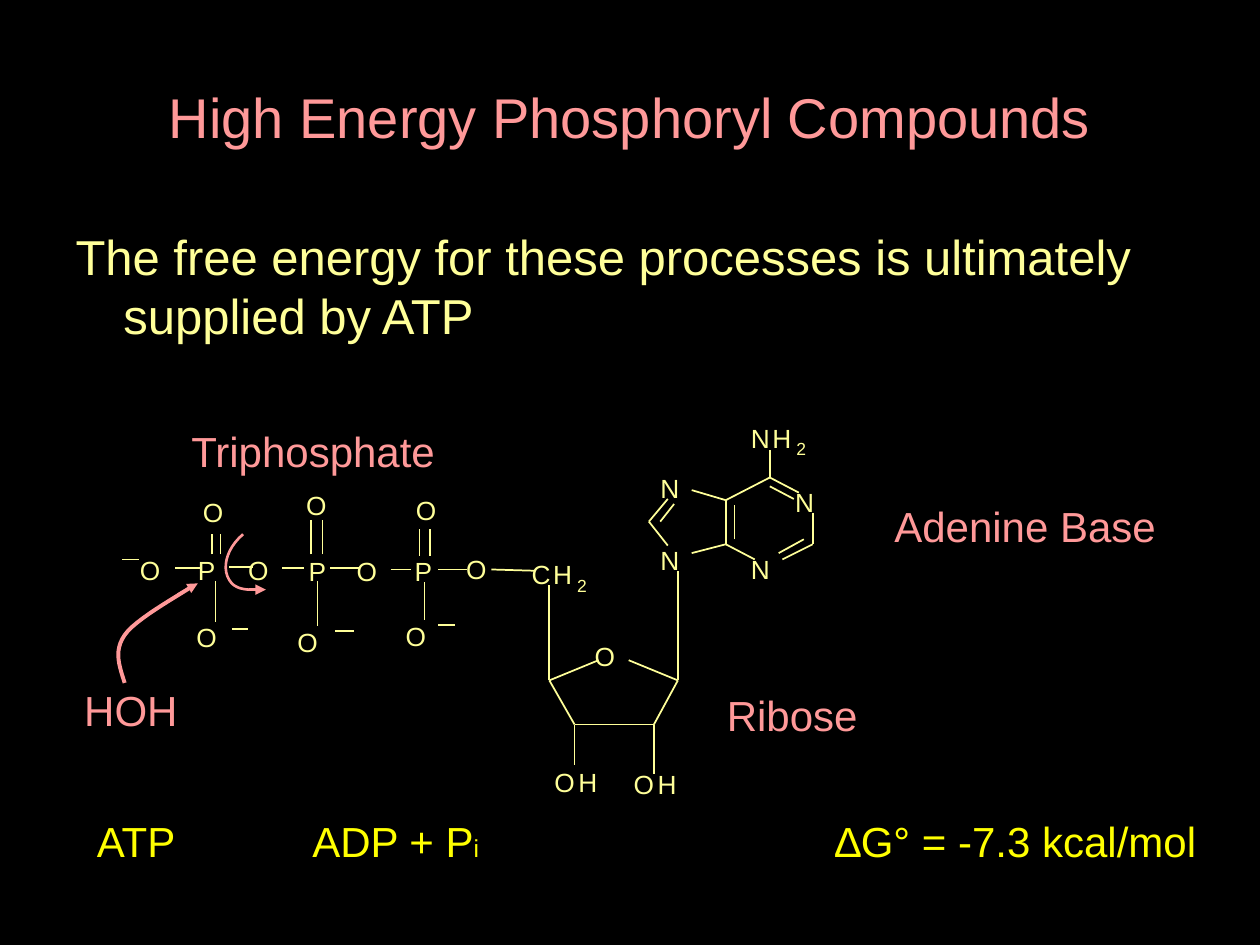
from lxml import etree
from pptx import Presentation
from pptx.dml.color import RGBColor
from pptx.enum import shapes, text
from pptx.oxml import ns
from pptx.util import Inches, Pt

COLORS = {"back": "000000", "pink": "FF9999", "cream": "FFFF99", "yellow": "FFFF00"}
FONT = "Arial"
ATOM_SIZE, INDEX_SIZE = 15, 10
ATOM_WIDTHS = {"O": 0.16, "P": 0.14, "N": 0.15, "C": 0.15, "H": 0.15, "2": 0.08}

# Offsets in inches from the phosphorus letter: atoms (letter, x, y), bonds (x1, y1, x2, y2)
PHOSPHATES = [
    (0.67, 1.07,
     [("P", 0, 0), ("O", 0.4, 0), ("O", -0.01, 0.53), ("O", 0.04, -0.46)],
     [(0.25, 0.1, 0.44, 0.1), (0.14, 0.21, 0.14, 0.54), (0.18, 0, 0.18, -0.16),
      (0.11, 0, 0.11, -0.16), (-0.18, 0.11, 0.03, 0.11), (0.27, 0.59, 0.4, 0.59)]),
    (1.55, 1.08,
     [("P", 0, 0), ("O", 0.38, 0), ("O", -0.09, 0.56), ("O", -0.02, -0.53)],
     [(0.17, 0.1, 0.41, 0.1), (0.07, 0.2, 0.07, 0.56), (0.11, -0.01, 0.11, -0.28),
      (0.02, -0.01, 0.02, -0.28), (-0.21, 0.1, -0.04, 0.1), (0.21, 0.6, 0.36, 0.6)]),
    (2.39, 1.08,
     [("P", 0, 0), ("O", 0.41, -0.02), ("O", -0.07, 0.51), ("O", 0.01, -0.49)],
     [(0.19, 0.11, 0.42, 0.11), (0.08, 0.21, 0.08, 0.51), (0.12, 0, 0.12, -0.21),
      (0.04, 0, 0.04, -0.21), (-0.19, 0.11, -0.03, 0.11), (0.19, 0.55, 0.32, 0.55)]),
]
CHAIN_ENDS = ([("O", 0.21, 1.07)], [(0.07, 1.11, 0.2, 1.11), (3, 1.19, 3.35, 1.2)])
ADENINE = (
    [("N", 0.24, 0.75), ("N", 0.24, 1.32), ("N", 0.96, 1.39), ("N", 1.31, 0.86),
     ("N", 0.96, 0.35), ("H", 1.13, 0.35), ("2", 1.32, 0.48)],
    [(1.34, 0.91, 1.11, 0.79), (1.3, 0.96, 1.11, 0.86), (1.45, 1.07, 1.45, 1.32),
     (1.45, 1.32, 1.21, 1.44), (1.38, 1.28, 1.18, 1.39), (0.99, 1.44, 0.76, 1.32),
     (0.76, 1.32, 0.76, 0.97), (0.83, 1.28, 0.83, 1.01), (0.76, 0.97, 1.11, 0.79),
     (0.76, 0.97, 0.49, 0.89), (0.3, 0.96, 0.15, 1.14), (0.35, 1, 0.24, 1.14),
     (0.76, 1.32, 0.49, 1.39), (0.3, 1.33, 0.15, 1.14), (1.11, 0.79, 1.11, 0.57)])
RIBOSE = (
    [("O", 0.72, 1.08), ("C", 0.22, 0.43), ("H", 0.39, 0.43), ("2", 0.58, 0.56),
     ("O", 0.4, 2.08), ("H", 0.59, 2.08), ("O", 1.03, 2.1), ("H", 1.22, 2.1)],
    [(0.56, 1.75, 1.19, 1.75), (1.19, 1.75, 1.38, 1.4), (1.38, 1.4, 0.99, 1.24),
     (0.75, 1.24, 0.36, 1.4), (0.36, 1.4, 0.56, 1.75), (0.36, 1.4, 0.36, 0.64),
     (0.56, 1.75, 0.56, 2.07), (1.19, 1.75, 1.19, 2.14), (1.38, 1.4, 1.38, 0.53)])


def rgb(name):
    return RGBColor.from_string(COLORS[name])


def set_all(target, values):
    for name, value in values.items():
        setattr(target, name, value)


def add_span(para, words, size, color):
    span = para.add_run()
    span.text = words
    set_all(span.font, {"size": Pt(size), "name": FONT})
    span.font.color.rgb = rgb(color)


def add_text(owner, words, left, top, width, height, size, color, inset=(0, 0), wrap=False):
    box = owner.shapes.add_textbox(*map(Inches, (left, top, width, height)))
    across, down = map(Inches, inset)
    set_all(box.text_frame, {"margin_left": across, "margin_right": across, "margin_top": down,
                             "margin_bottom": down, "word_wrap": wrap})
    para = box.text_frame.paragraphs[0]
    add_span(para, words, size, color)
    return para


def add_line(owner, ends, color="cream", weight=1, arrow=False):
    line = owner.shapes.add_connector(shapes.MSO_CONNECTOR.STRAIGHT, *map(Inches, ends))
    line.line.color.rgb = rgb(color)
    line.line.width = Pt(weight)
    props = line._element.spPr
    if arrow:
        etree.SubElement(props.find(ns.qn("a:ln")), ns.qn("a:tailEnd"), type="triangle")
    etree.SubElement(props, ns.qn("a:effectLst"))


def add_curve(owner, points, weight, steps=12):
    """Draw joined cubic Bézier segments; neighbours share an end point."""
    trace = [points[0]]
    for first in range(0, len(points) - 1, 3):
        segment = points[first:first + 4]
        for step in range(1, steps + 1):
            t = step / steps
            weights = ((1 - t) ** 3, 3 * t * (1 - t) ** 2, 3 * t * t * (1 - t), t ** 3)
            trace.append(tuple(sum(w * p[axis] for w, p in zip(weights, segment))
                               for axis in (0, 1)))
    vertices = [(Inches(x), Inches(y)) for x, y in trace]
    builder = owner.shapes.build_freeform(*vertices[0])
    builder.add_line_segments(vertices[1:], close=False)
    curve = builder.convert_to_shape()
    curve.shadow.inherit = False
    curve.fill.background()
    curve.line.color.rgb = rgb("pink")
    curve.line.width = Pt(weight)


def draw_structure(owner, left, top, atoms, bonds):
    for letter, x, y in atoms:
        size, height = (INDEX_SIZE, 0.17) if letter == "2" else (ATOM_SIZE, 0.25)
        add_text(owner, letter, left + x, top + y, ATOM_WIDTHS[letter], height, size, "cream")
    for x1, y1, x2, y2 in bonds:
        add_line(owner, (left + x1, top + y1, left + x2, top + y2))


def draw_triphosphate(owner, left, top):
    for x, y, atoms, bonds in PHOSPHATES:
        draw_structure(owner, left + x, top + y, atoms, bonds)
    draw_structure(owner, left, top, *CHAIN_ENDS)


def draw_attack(owner, left, top):
    """Curved arrows for water attacking the last phosphate and the bond leaving."""
    def shift(points):
        return [(left + x, top + y) for x, y in points]

    add_curve(owner, shift([(0.09, 1.22), (0.05, 1.09), (0, 0.97), (0.09, 0.84),
                            (0.17, 0.72), (0.51, 0.53), (0.6, 0.47)]), 2.25)
    add_curve(owner, shift([(1.03, 0.04), (0.89, 0.16), (0.85, 0.33), (0.94, 0.43),
                            (0.97, 0.46), (1.02, 0.48), (1.09, 0.48)]), 1.5)
    for start, end in (((0.51, 0.52), (0.67, 0.43)), ((1.08, 0.48), (1.21, 0.48))):
        add_line(owner, sum(shift([start, end]), ()), "pink", 1.5, arrow=True)


def draw_labels(owner):
    for words, left, top, width in (("Ribose", 5.67, 5.42, 1.33), ("Adenine Base", 7, 3.92, 2.67),
                                    ("Triphosphate", 1.42, 3.33, 2.67), ("HOH", 0.57, 5.38, 0.94)):
        add_text(owner, words, left, top, width, 0.5, 24, "pink", (0.1, 0.05), words != "HOH")


def draw_equation(page, left, top, width, height):
    para = add_text(page, "ATP\tADP + P", left, top, width, height, 24, "yellow", (0.1, 0.05), True)
    add_span(para, "i", 14, "yellow")
    add_span(para, "\t∆G° = -7.3 kcal/mol", 24, "yellow")
    stops = etree.SubElement(para._p.get_or_add_pPr(), ns.qn("a:tabLst"))
    for stop in (1.71, 5.86):
        etree.SubElement(stops, ns.qn("a:tab"), pos=str(Inches(stop)), algn="l")


def fill_placeholder(holder, words, box, size, color, anchor):
    for name, length in zip(("left", "top", "width", "height"), box):
        setattr(holder, name, Inches(length))
    set_all(holder.text_frame, {"auto_size": text.MSO_AUTO_SIZE.NONE, "word_wrap": True,
                                "vertical_anchor": anchor})
    para = holder.text_frame.paragraphs[0]
    add_span(para, words, size, color)
    return para


def build_page(page):
    page.background.fill.solid()
    page.background.fill.fore_color.rgb = rgb("back")
    title = fill_placeholder(page.shapes.title, "High Energy Phosphoryl Compounds",
                             (0.5, 0.3, 9, 1.25), 32, "pink", text.MSO_ANCHOR.MIDDLE)
    title.alignment = text.PP_ALIGN.CENTER
    body = fill_placeholder(page.placeholders[1],
                            "The free energy for these processes is ultimately supplied by ATP",
                            (0.5, 1.75, 9.17, 1.08), 28, "cream", text.MSO_ANCHOR.TOP)
    body.space_before = Pt(7)
    props = body._p.get_or_add_pPr()
    props.set("marL", str(Inches(0.38)))
    props.set("indent", str(-Inches(0.38)))
    etree.SubElement(props, ns.qn("a:buNone"))

    draw_equation(page, 0.67, 6.42, 9.08, 0.5)
    molecule = page.shapes.add_group_shape()
    draw_labels(molecule)
    draw_attack(molecule, 0.9, 4.2)
    draw_triphosphate(molecule, 0.9, 3.33)
    draw_structure(molecule, 5, 3, *ADENINE)
    draw_structure(molecule, 4, 4, *RIBOSE)


def main():
    deck = Presentation()
    set_all(deck, {"slide_width": Inches(10), "slide_height": Inches(7.5)})
    build_page(deck.slides.add_slide(deck.slide_layouts[1]))
    deck.save("out.pptx")


if __name__ == "__main__":
    main()
